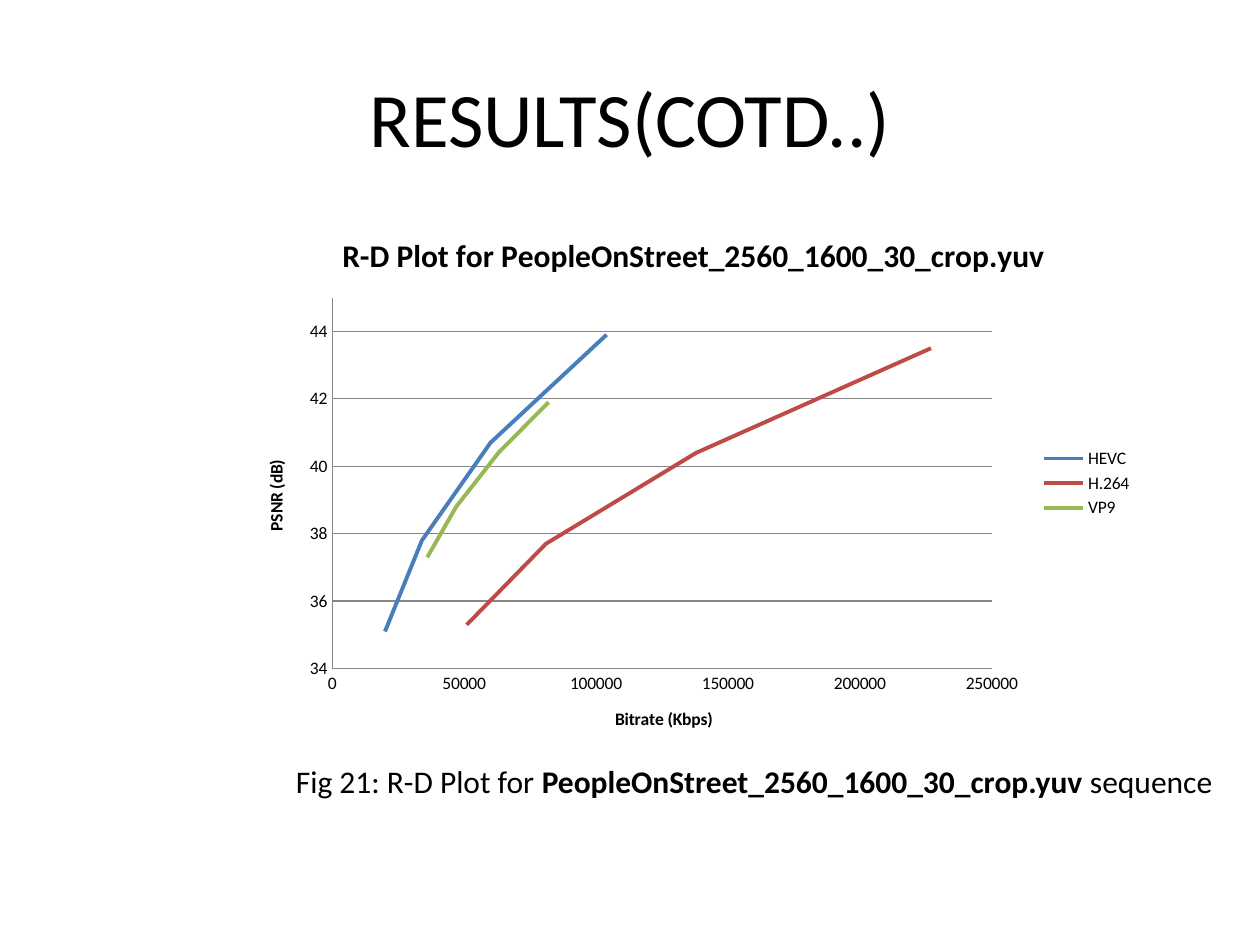
from lxml.etree import SubElement
from pptx import Presentation
from pptx.chart.data import XyChartData
from pptx.dml.color import RGBColor
from pptx.enum.chart import XL_CHART_TYPE, XL_LEGEND_POSITION, XL_TICK_MARK
from pptx.enum.text import MSO_ANCHOR, PP_ALIGN
from pptx.oxml.ns import qn
from pptx.util import Inches, Pt

COLORS = {
    "text": "000000",
    "axis": "878787",
    "plot": "FFFFFF",
    "HEVC": "4A7EBB",
    "H.264": "BE4B48",
    "VP9": "98B855",
}
FONT = "Calibri"
SEQUENCE = "PeopleOnStreet_2560_1600_30_crop.yuv"
# Points are (bitrate in Kbps, PSNR in dB).
CURVES = {
    "HEVC": [(104000, 43.9), (60000, 40.7), (34000, 37.8), (20000, 35.1)],
    "H.264": [(227000, 43.5), (138000, 40.4), (81000, 37.7), (51000, 35.3)],
    "VP9": [(82000, 41.9), (63000, 40.4), (47000, 38.8), (36000, 37.3)],
}
PLOT_AREA = {"x": 0.10, "y": 0.16, "w": 0.73, "h": 0.68}  # shares of the chart


def color(name):
    return RGBColor.from_string(COLORS[name])


def format_font(font, size, bold=False):
    font.name = FONT
    font.size = Pt(size)
    font.bold = bold
    font.color.rgb = color("text")


def format_line(line, name, width):
    line.color.rgb = color(name)
    line.width = Pt(width)


def write_text(frame, *parts, size, align=PP_ALIGN.LEFT):
    """Fill the first paragraph with (text, bold) parts."""
    para = frame.paragraphs[0]
    para.alignment = align
    for text, bold in parts:
        span = para.add_run()
        span.text = text
        format_font(span.font, size, bold)


def add_title(page, text):
    title = page.shapes.title
    title.left, title.top = Inches(0.5), Inches(0.3)
    title.width, title.height = Inches(9), Inches(1.25)
    title.text_frame.vertical_anchor = MSO_ANCHOR.MIDDLE
    write_text(title.text_frame, (text, False), size=44, align=PP_ALIGN.CENTER)


def format_axis(axis, title):
    axis.major_tick_mark = axis.minor_tick_mark = XL_TICK_MARK.NONE
    axis.tick_labels.number_format = "General"
    axis.tick_labels.number_format_is_linked = False
    format_font(axis.tick_labels.font, 10)
    format_line(axis.format.line, "axis", 0.75)
    write_text(axis.axis_title.text_frame, (title, True), size=10,
               align=PP_ALIGN.CENTER)


def format_plot_area(chart):
    """Fix the inner plot area's place and give it a plain fill."""
    area = chart._chartSpace.chart.plotArea
    for old in area.findall(qn("c:layout")):
        area.remove(old)
    layout = SubElement(area, qn("c:layout"))
    area.insert(0, layout)
    manual = SubElement(layout, qn("c:manualLayout"))
    SubElement(manual, qn("c:layoutTarget"), val="inner")
    for side in "xy":
        SubElement(manual, qn(f"c:{side}Mode"), val="edge")
    for side, share in PLOT_AREA.items():
        SubElement(manual, qn(f"c:{side}"), val=str(share))
    fill = SubElement(SubElement(area, qn("c:spPr")), qn("a:solidFill"))
    SubElement(fill, qn("a:srgbClr"), val=COLORS["plot"])


def add_rate_distortion_chart(page):
    data = XyChartData()
    for name, points in CURVES.items():
        series = data.add_series(name)
        for bitrate, psnr in points:
            series.add_data_point(bitrate, psnr)
    chart = page.shapes.add_chart(
        XL_CHART_TYPE.XY_SCATTER_LINES_NO_MARKERS,
        Inches(1.92), Inches(1.67), Inches(7.17), Inches(4.33), data).chart
    format_font(chart.font, 10)
    chart.has_title = True
    write_text(chart.chart_title.text_frame, (f"R-D Plot for {SEQUENCE}", True),
               size=18, align=PP_ALIGN.CENTER)
    chart.chart_title.include_in_layout = False

    chart.has_legend = True
    chart.legend.position = XL_LEGEND_POSITION.RIGHT
    chart.legend.include_in_layout = False
    format_font(chart.legend.font, 10)

    chart.plots[0].vary_by_categories = False
    for series in chart.plots[0].series:
        series.smooth = False
        format_line(series.format.line, series.name, 2.25)

    format_axis(chart.category_axis, "Bitrate (Kbps)")
    chart.category_axis.has_major_gridlines = False
    psnr_axis = chart.value_axis
    format_axis(psnr_axis, "PSNR (dB)")
    psnr_axis.minimum_scale, psnr_axis.maximum_scale = 34, 45
    psnr_axis.major_unit = 2
    psnr_axis.has_major_gridlines = True
    format_line(psnr_axis.major_gridlines.format.line, "axis", 0.75)
    format_plot_area(chart)


def add_caption(page):
    box = page.shapes.add_textbox(Inches(2.25), Inches(6), Inches(7.55), Inches(0.7))
    box.text_frame.word_wrap = True
    write_text(box.text_frame, ("Fig 21: R-D Plot for ", False),
               (f"{SEQUENCE} ", True), ("sequence", False), size=18)


def main():
    deck = Presentation()
    deck.slide_width, deck.slide_height = Inches(10), Inches(7.5)
    page = deck.slides.add_slide(deck.slide_layouts[5])
    add_title(page, "RESULTS(COTD..)")
    add_rate_distortion_chart(page)
    add_caption(page)
    deck.save("out.pptx")


if __name__ == "__main__":
    main()
